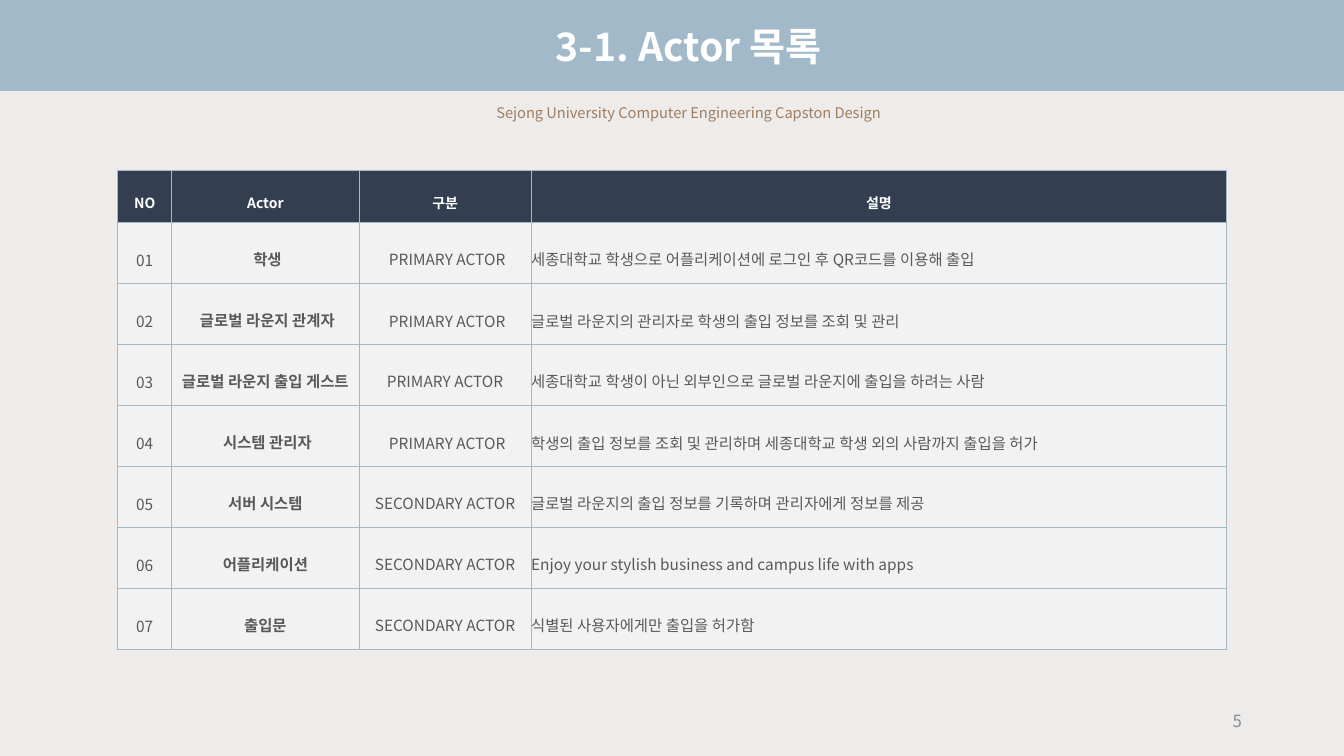
from lxml.etree import SubElement
from pptx import Presentation
from pptx.dml.color import RGBColor
from pptx.enum.text import MSO_ANCHOR, PP_ALIGN
from pptx.oxml.ns import qn
from pptx.util import Pt

FACE = "Noto Sans CJK KR"
LINE = "A2B9C9"


def color(code):
    return RGBColor.from_string(code)


def write(para, text, size, code, bold=False, align=PP_ALIGN.CENTER, space=None):
    para.alignment = align
    para.line_spacing = space
    run = para.add_run()
    run.text = text
    for key, value in {"size": Pt(size), "bold": bold, "name": FACE}.items():
        setattr(run.font, key, value)
    run.font.color.rgb = color(code)
    SubElement(run.font._element, qn("a:ea"), typeface=FACE)


deck = Presentation()
deck.slide_width, deck.slide_height = Pt(960), Pt(540)
slide = deck.slides.add_slide(deck.slide_layouts[6])

back = slide.background.fill
back.gradient()
back.gradient_angle = 90
for stop, code in zip(back.gradient_stops, ["EDECEA", LINE]):
    stop.position = 0.88
    stop.color.rgb = color(code)

title = slide.shapes.add_textbox(Pt(213), Pt(12.2), Pt(558), Pt(72)).text_frame
title.word_wrap = True
write(title.paragraphs[0], "3-1. Actor 목록", 28, "FFFFFF", True)
write(title.add_paragraph(), "Sejong University Computer Engineering Capston Design",
      10.5, "A17D60", space=3.0)

rows = [
    ("NO", "Actor", "구분", "설명"),
    ("01", "학생", "PRIMARY ACTOR",
     "세종대학교 학생으로 어플리케이션에 로그인 후 QR코드를 이용해 출입"),
    ("02", "글로벌 라운지 관계자", "PRIMARY ACTOR",
     "글로벌 라운지의 관리자로 학생의 출입 정보를 조회 및 관리"),
    ("03", "글로벌 라운지 출입 게스트", "PRIMARY ACTOR",
     "세종대학교 학생이 아닌 외부인으로 글로벌 라운지에 출입을 하려는 사람"),
    ("04", "시스템 관리자", "PRIMARY ACTOR",
     "학생의 출입 정보를 조회 및 관리하며 세종대학교 학생 외의 사람까지 출입을 허가"),
    ("05", "서버 시스템", "SECONDARY ACTOR",
     "글로벌 라운지의 출입 정보를 기록하며 관리자에게 정보를 제공"),
    ("06", "어플리케이션", "SECONDARY ACTOR",
     "Enjoy your stylish business and campus life with apps"),
    ("07", "출입문", "SECONDARY ACTOR", "식별된 사용자에게만 출입을 허가함"),
]
widths = [38.4, 134, 122.8, 496.8]
heights = [37.2] + [43.6] * 7

table = slide.shapes.add_table(len(rows), len(widths), Pt(84.2), Pt(121.6),
                               Pt(sum(widths)), Pt(sum(heights))).table
table.horz_banding = False
for column, width in zip(table.columns, widths):
    column.width = Pt(width)
for line, height in zip(table.rows, heights):
    line.height = Pt(height)

for r, row in enumerate(rows):
    for c, text in enumerate(row):
        cell = table.cell(r, c)
        head = r == 0
        inset = 3 if r in (1, 2, 4) and c in (1, 2) else 0
        look = {"margin_left": Pt(inset), "margin_right": 0, "margin_top": 0,
                "margin_bottom": 0, "vertical_anchor": MSO_ANCHOR.MIDDLE}
        for key, value in look.items():
            setattr(cell, key, value)
        props = cell._tc.get_or_add_tcPr()
        for side in ("lnL", "lnR", "lnT", "lnB"):
            edge = SubElement(props, qn("a:" + side), w=str(Pt(1)))
            SubElement(SubElement(edge, qn("a:solidFill")), qn("a:srgbClr"), val=LINE)
        cell.fill.solid()
        cell.fill.fore_color.rgb = color("333F50" if head else "F2F2F2")
        wide = head or c == 0 or (r in (2, 4) and c > 1)
        write(cell.text_frame.paragraphs[0], text, 10 if head else 11,
              "FFFFFF" if head else "595959", head or c == 1,
              PP_ALIGN.LEFT if c == 3 and not head else PP_ALIGN.CENTER,
              1.6 if wide else 1.5)

page = slide.shapes.add_textbox(Pt(678.2), Pt(500.4), Pt(216), Pt(28.8)).text_frame
page.word_wrap = True
page.vertical_anchor = MSO_ANCHOR.MIDDLE
write(page.paragraphs[0], "5", 12, "8C8C8C", align=PP_ALIGN.RIGHT)

deck.save("out.pptx")
